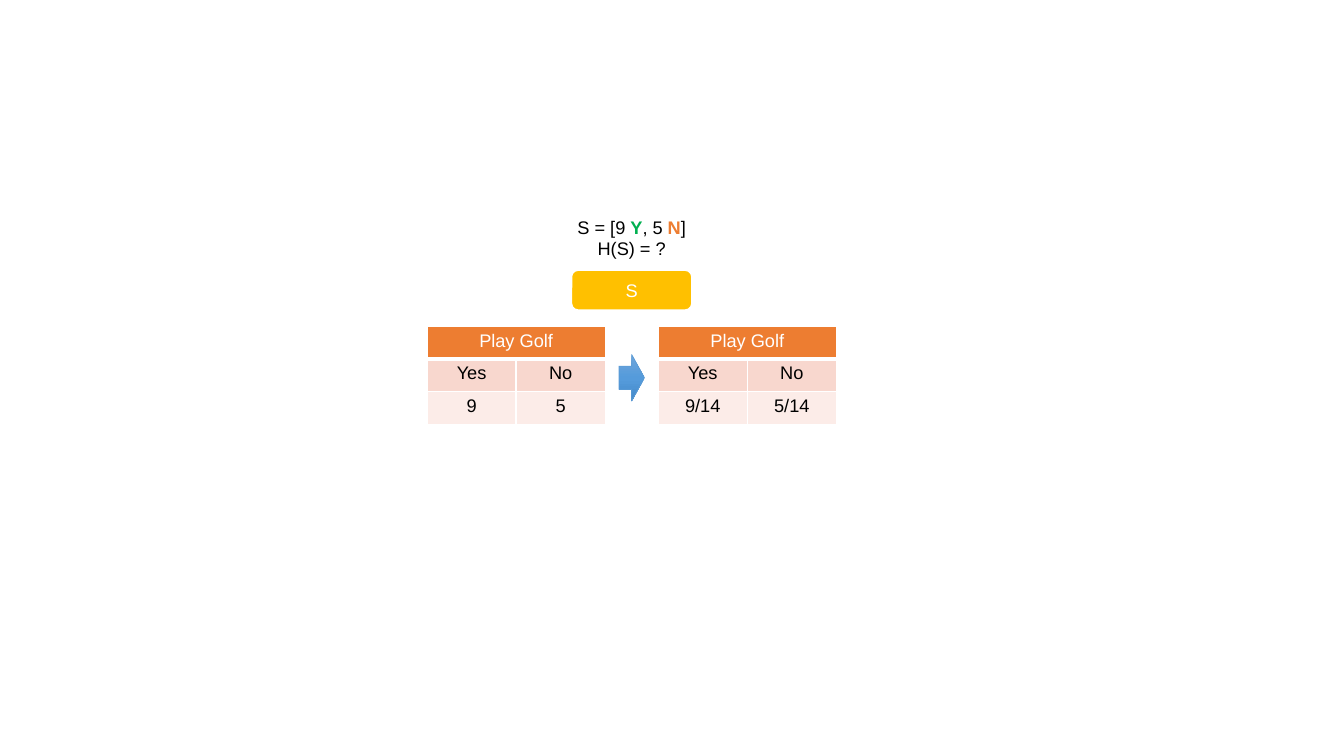
from copy import deepcopy
from dataclasses import dataclass

from lxml.etree import SubElement
from pptx import Presentation
from pptx.dml.color import RGBColor
from pptx.enum.shapes import MSO_SHAPE
from pptx.enum.text import MSO_ANCHOR, MSO_AUTO_SIZE, PP_ALIGN
from pptx.oxml.ns import qn
from pptx.util import Inches, Pt


@dataclass(frozen=True)
class Theme:
    font: str = "Arial"
    size: float = 13
    ink: str = "000000"
    white: str = "FFFFFF"
    yes: str = "00B050"
    no: str = "ED7D31"
    header: str = "ED7D31"
    bands: tuple = ("F8D7CE", "FCECE8")
    node: str = "FFC000"
    arrow: tuple = ("71A6DB", "559BDB", "448ACA")
    arrow_line: str = "5B9BD5"
    rule: float = 1
    header_rule: float = 3


class Canvas:
    def __init__(self, deck, theme):
        self.theme = theme
        self.width, self.height = deck.slide_width, deck.slide_height
        self.slide = deck.slides.add_slide(deck.slide_layouts[6])

    def place(self, center, top, width, height):
        return (
            round(self.width * (center - width / 2) / 100),
            round(self.height * top / 100),
            round(self.width * width / 100),
            round(self.height * height / 100),
        )

    def add_runs(self, paragraph, *pieces):
        paragraph.alignment = PP_ALIGN.CENTER
        for wording, color, bold in pieces:
            run = paragraph.add_run()
            run.text = wording
            run.font.name = self.theme.font
            run.font.size = Pt(self.theme.size)
            run.font.bold = bold
            run.font.color.rgb = RGBColor.from_string(color)

    def caption(self, box, *lines):
        frame = self.slide.shapes.add_textbox(*self.place(*box)).text_frame
        frame.word_wrap = False
        frame.auto_size = MSO_AUTO_SIZE.SHAPE_TO_FIT_TEXT
        for index, pieces in enumerate(lines):
            paragraph = frame.add_paragraph() if index else frame.paragraphs[0]
            self.add_runs(paragraph, *pieces)

    def shape(self, kind, box, line, line_width):
        shape = self.slide.shapes.add_shape(kind, *self.place(*box))
        shape.shadow.inherit = False
        shape.line.color.rgb = RGBColor.from_string(line)
        shape.line.width = Pt(line_width)
        return shape

    def node(self, box, label):
        node = self.shape(MSO_SHAPE.ROUNDED_RECTANGLE, box, self.theme.white, 1.5)
        node.fill.solid()
        node.fill.fore_color.rgb = RGBColor.from_string(self.theme.node)
        node.text_frame.vertical_anchor = MSO_ANCHOR.MIDDLE
        self.add_runs(node.text_frame.paragraphs[0], (label, self.theme.white, False))

    def arrow(self, box):
        arrow = self.shape(MSO_SHAPE.RIGHT_ARROW, box, self.theme.arrow_line, 0.5)
        arrow.fill.gradient()
        arrow.fill.gradient_angle = 270
        stops = arrow._element.spPr.find(qn("a:gradFill")).find(qn("a:gsLst"))
        stops.append(deepcopy(stops[0]))
        for index, (stop, color) in enumerate(zip(arrow.fill.gradient_stops, self.theme.arrow)):
            stop.color.rgb = RGBColor.from_string(color)
            stop.position = index / 2

    def borders(self, cell, row):
        widths = dict.fromkeys("LRTB", self.theme.rule)
        if row == 0:
            widths["B"] = self.theme.header_rule
        elif row == 1:
            widths["T"] = self.theme.header_rule
        properties = cell._tc.get_or_add_tcPr()
        for side, width in widths.items():
            border = SubElement(properties, qn(f"a:ln{side}"), w=str(Pt(width)))
            paint = SubElement(border, qn("a:solidFill"))
            SubElement(paint, qn("a:srgbClr"), val=self.theme.white)

    def table(self, box, rows):
        frame = self.slide.shapes.add_table(len(rows), len(rows[0]), *self.place(*box))
        table = frame.table
        fills = (self.theme.header, *self.theme.bands)
        for row, labels in enumerate(rows):
            for column, label in enumerate(labels):
                cell = table.cell(row, column)
                cell.margin_top = cell.margin_bottom = Inches(0.04)
                self.borders(cell, row)
                cell.fill.solid()
                cell.fill.fore_color.rgb = RGBColor.from_string(fills[row])
                color = self.theme.ink if row else self.theme.white
                if label:
                    self.add_runs(cell.text_frame.paragraphs[0], (label, color, False))
        table.cell(0, 0).merge(table.cell(0, len(rows[0]) - 1))


def main():
    deck = Presentation()
    deck.slide_width, deck.slide_height = Inches(13.33), Inches(7.5)
    theme = Theme()
    canvas = Canvas(deck, theme)

    axis, table_offset = 47, 8.6
    tallies = (("9", "5"), ("9/14", "5/14"))
    for side, tally in zip((-1, 1), tallies):
        box = (axis + side * table_offset, 43.2, 13.25, 12.9)
        canvas.table(box, (("Play Golf", ""), ("Yes", "No"), tally))

    canvas.arrow((axis, 46.9, 1.9, 6.15))
    canvas.caption(
        (axis, 27.9, 9.7, 7.2),
        (
            ("S = [9 ", theme.ink, False),
            ("Y", theme.yes, True),
            (", 5 ", theme.ink, False),
            ("N", theme.no, True),
            ("]", theme.ink, False),
        ),
        (("H(S) = ?", theme.ink, False),),
    )
    canvas.node((axis, 35.7, 9, 5.35), "S")
    deck.save("out.pptx")


if __name__ == "__main__":
    main()
